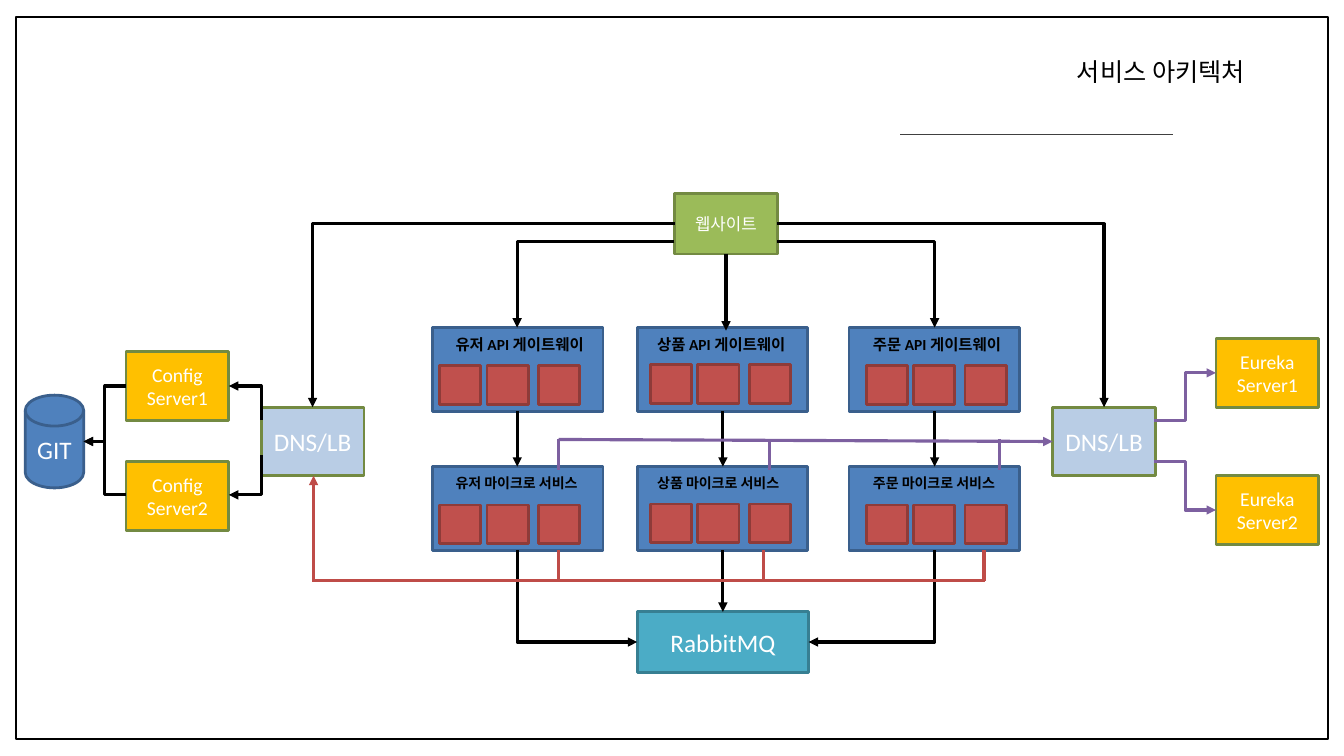
from lxml import etree
from pptx import Presentation
from pptx import util as u
from pptx.dml.color import RGBColor
from pptx.enum import shapes as sh, text as tx
from pptx.oxml.ns import qn

# Grid: square cells of a tenth of an inch, 133.3 columns by 75 rows
CELL = u.Inches(0.1)
FONT = "Calibri"
HEX = {
    "black": "000000", "white": "FFFFFF", "rule": "404040",
    "green": "9BBB59", "moss": "738A42", "pale": "B9CDE5",
    "blue": "4F81BD", "navy": "3A5F8C", "red": "C0504D", "wine": "8E3B39",
    "teal": "4BACC6", "deep": "377F92", "gold": "FFC000",
    "rose": "BF4C48", "plum": "7D60A0",
}
RECT = sh.MSO_SHAPE.RECTANGLE
DISK = sh.MSO_SHAPE.FLOWCHART_MAGNETIC_DISK

# Service columns: name, box left, label indent, first node indent, node drop
COLS = [("유저", 42.9, 1.3, 0.7, 3.8),
        ("상품", 63.2, 1.0, 1.3, 3.7),
        ("주문", 84.2, 1.4, 1.7, 3.8)]
# Service rows: name, box top, label size
ROWS = [("API 게이트웨이", 32.5, 11), ("마이크로 서비스", 46.3, 10)]
WIDE, TALL = 16.9, 8.3
NODES = (0, 4.7, 9.8)
MIDS = (51.3, 71.7, 92.7)


def grid(*cells):
    return [round(c * CELL) for c in cells]


def color(name):
    return RGBColor.from_string(HEX[name])


def write(frame, words, size, ink, align=tx.PP_ALIGN.LEFT, bold=False):
    frame.word_wrap = True
    frame.auto_size = tx.MSO_AUTO_SIZE.NONE
    para = frame.paragraphs[0]
    para.alignment = align
    run = para.add_run()
    run.text = words
    font = run.font
    font.name, font.size, font.bold = FONT, u.Pt(size), bold
    font.color.rgb = color(ink)


def box(page, at, fill, edge, words="", size=18, kind=RECT, width=2):
    item = page.shapes.add_shape(kind, *grid(*at))
    item.shadow.inherit = False
    if fill:
        item.fill.solid()
        item.fill.fore_color.rgb = color(fill)
    else:
        item.fill.background()
    item.line.color.rgb = color(edge)
    item.line.width = u.Pt(width)
    if words:
        item.text_frame.vertical_anchor = tx.MSO_ANCHOR.MIDDLE
        write(item.text_frame, words, size, "white", tx.PP_ALIGN.CENTER)


def label(page, at, words, size):
    frame = page.shapes.add_textbox(*grid(*at)).text_frame
    frame.margin_right = 0
    write(frame, words, size, "black", bold=True)


def link(page, start, end, ink="black", shape="line", tip="tailEnd", width=2.25):
    """Straight or bent line; tip names the end that has the arrowhead."""
    kind = sh.MSO_CONNECTOR.STRAIGHT if shape == "line" else sh.MSO_CONNECTOR.ELBOW
    item = page.shapes.add_connector(kind, *grid(*start, *end))
    item.line.color.rgb = color(ink)
    item.line.width = u.Pt(width)
    props = item._element.spPr
    props.find(qn("a:prstGeom")).set("prst", shape)
    if tip:
        etree.SubElement(item.line._get_or_add_ln(), qn("a:" + tip), type="triangle")
    etree.SubElement(props, qn("a:effectLst"))


def corner(page, start, end, tip="tailEnd"):
    """One bend: across from start, then up or down to end."""
    link(page, start, end, shape="bentConnector2", tip=tip)


def step(page, start, end, ink="black"):
    """Two bends, with the upright part halfway."""
    link(page, start, end, ink, "bentConnector3")


def service(page, col, row):
    name, left, pad, first, drop = col
    role, top, size = row
    box(page, (left, top, WIDE, TALL), "blue", "navy")
    label(page, (left + pad, top + 0.3, 15.6, 2.7), f"{name} {role}", size)
    for node in NODES:
        box(page, (left + first + node, top + drop, 4.1, 3.8), "red", "wine")


def frame(page):
    box(page, (1.6, 1.7, 130.1, 71.6), None, "black", width=1.75)
    title = page.shapes.title
    title.left, title.top, title.width, title.height = grid(105.8, 5.1, 20.9, 4)
    title.text_frame.vertical_anchor = tx.MSO_ANCHOR.TOP
    write(title.text_frame, "서비스 아키텍처", 18, "black")
    link(page, (89.3, 13.3), (116.3, 13.3), "rule", tip=None, width=0.5)


def blocks(page):
    box(page, (66.9, 19.2, 10.2, 6), "green", "moss", "웹사이트", 12)
    for row in ROWS:
        for col in COLS:
            service(page, col, row)
    box(page, (63.2, 60.7, 17, 6), "teal", "deep", "RabbitMQ")
    for left in (25.9, 104.4):
        box(page, (left, 40.4, 10.2, 6.8), "pale", "moss", "DNS/LB")
    for name, left, tops in (("Config", 12.5, (34.9, 45.8)),
                             ("Eureka", 120.6, (33.6, 47.2))):
        for n, top in enumerate(tops, 1):
            box(page, (left, top, 10.2, 6.8), "gold", "moss", f"{name} Server{n}", 14)
    box(page, (2.5, 39.2, 5.8, 9.2), "blue", "navy", "GIT", kind=DISK)


def links(page):
    # Website to gateways and balancers
    for side, outer, inner in ((66.9, 31, MIDS[0]), (77.1, 109.5, MIDS[2])):
        corner(page, (side, 22.2), (outer, 40.4))
        corner(page, (side, 24), (inner, 32.5))
    link(page, (72, 25.2), (72, 32.8))
    # Gateways to services, services to queue
    for mid in MIDS:
        link(page, (mid, 40.8), (mid, 46.3))
    link(page, (MIDS[1], 54.6), (MIDS[1], 60.7))
    for side, mid in ((63.2, MIDS[0]), (80.2, MIDS[2])):
        corner(page, (side, 63.7), (mid, 54.6), "headEnd")
    # Services to config balancer
    link(page, (31, 57.6), (97.7, 57.6), "rose", tip=None)
    for x in (55.4, 75.7, 97.6):
        link(page, (x, 57.6), (x, 54.6), "rose", tip=None)
    link(page, (31.1, 57.7), (31.1, 47.2), "rose")
    # Services to Eureka balancer
    link(page, (55.4, 43.6), (104.4, 43.8), "plum")
    for x in (55.4, 76.3, 99.1):
        link(page, (x, 43.6), (x, 46.6), "plum", tip=None)
    # Balancers to servers, config servers to repository
    for out, into in ((41.7, 37), (45.8, 50.6)):
        step(page, (114.5, out), (120.6, into), "plum")
    for out, into in ((41.7, 38.3), (45.1, 49.1)):
        corner(page, (22.7, into), (25.9, out), "headEnd")
        step(page, (12.5, into), (8.3, 43.8))


def main():
    deck = Presentation()
    deck.slide_width, deck.slide_height = u.Inches(13.33), u.Inches(7.5)
    page = deck.slides.add_slide(deck.slide_layouts[5])
    frame(page)
    blocks(page)
    links(page)
    deck.save("out.pptx")


if __name__ == "__main__":
    main()
